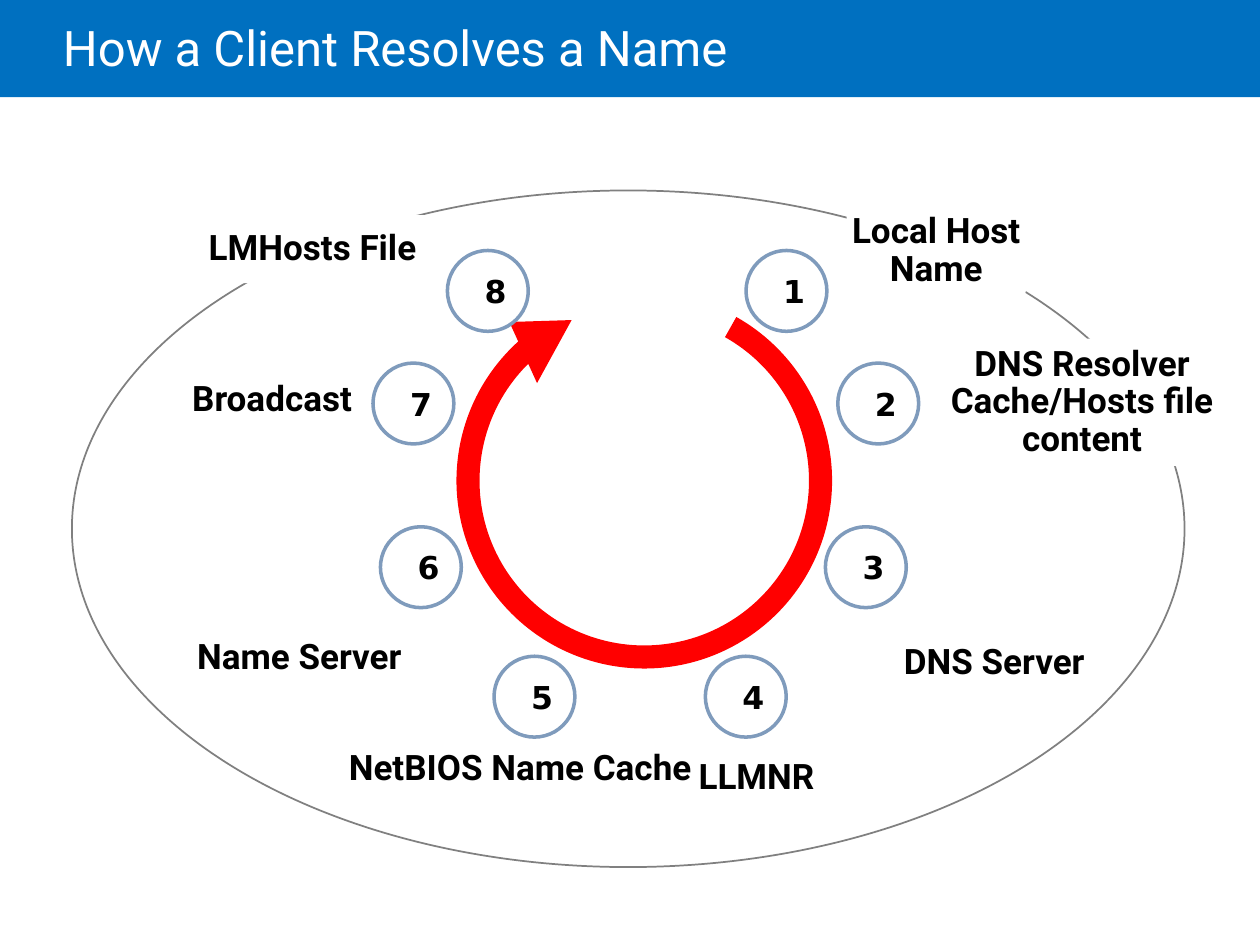
from typing import NamedTuple, Optional

from pptx import Presentation
from pptx import util as u
from pptx.dml.color import RGBColor
from pptx.enum import shapes, text

Kind = shapes.MSO_SHAPE
Align = text.PP_ALIGN
Anchor = text.MSO_ANCHOR


class Area(NamedTuple):
    left: float
    top: float
    width: float
    height: float


class Label(NamedTuple):
    words: str
    area: Area
    align: Align = Align.LEFT
    anchor: Anchor = Anchor.MIDDLE
    fill: Optional[str] = "FFFFFF"


class TextStyle(NamedTuple):
    font: str
    size: int
    color: str
    bold: bool
    spacing: float
    insets: tuple


TITLE_STYLE = TextStyle("Roboto", 28, "FFFFFF", False, 0.85, (0, 0.13, 0.25, 0.13))
LABEL_STYLE = TextStyle("Roboto", 20, "000000", True, 0.9, (0, 0, 0, 0))
NUMBER_STYLE = TextStyle("DejaVu Sans", 18, "000000", True, 1.0, (0.51, 0.13, 0.51, 0.13))

LABELS = [
    Label("NetBIOS Name Cache", Area(6.96, 15.09, 7.06, 2.34), Align.CENTER, Anchor.TOP, None),
    Label("Name Server", Area(3.96, 12.6, 4.93, 1.32), fill=None),
    Label("Broadcast", Area(3.86, 7.42, 4.14, 1.3)),
    Label("DNS Resolver Cache/Hosts file content", Area(18.97, 6.83, 5.69, 2.57), Align.CENTER),
    Label("Local Host Name", Area(17.07, 4.19, 3.61, 1.75), Align.CENTER),
    Label("LMHosts File", Area(4.19, 4.34, 4.95, 1.37)),
    Label("DNS Server", Area(18.21, 12.83, 4.11, 1.09)),
    Label("LLMNR", Area(14.07, 15.09, 2.51, 1.19), fill=None),
]
STEP_SIZE = 1.63
STEP_CORNERS = [
    (15.04, 5.05), (16.89, 7.32), (16.64, 10.62), (14.22, 13.23),
    (9.96, 13.23), (7.67, 10.62), (7.52, 7.32), (9.02, 5.05),
]


def rgb(value: str) -> RGBColor:
    return RGBColor.from_string(value)


def add_shape(page, kind: Kind, area: Area, fill: Optional[str] = None,
              line: Optional[str] = None, weight: float = 1):
    shape = page.shapes.add_shape(kind, *(u.Cm(length) for length in area))
    shape.shadow.inherit = False
    if fill:
        shape.fill.solid()
        shape.fill.fore_color.rgb = rgb(fill)
    else:
        shape.fill.background()
    if line:
        shape.line.color.rgb = rgb(line)
        shape.line.width = u.Pt(weight)
    else:
        shape.line.fill.background()
    return shape


def write(box, words: str, style: TextStyle, align: Align = Align.LEFT,
          anchor: Anchor = Anchor.MIDDLE) -> None:
    frame = box.text_frame
    frame.word_wrap = True
    frame.vertical_anchor = anchor
    (frame.margin_left, frame.margin_top,
     frame.margin_right, frame.margin_bottom) = (u.Cm(inset) for inset in style.insets)
    para = frame.paragraphs[0]
    para.text = words
    para.alignment = align
    para.line_spacing = style.spacing
    para.font.name = style.font
    para.font.size = u.Pt(style.size)
    para.font.bold = style.bold
    para.font.color.rgb = rgb(style.color)


def add_title(page, words: str) -> None:
    add_shape(page, Kind.RECTANGLE, Area(0, 0, 25.4, 1.96), "0070C0")
    box = page.shapes.add_textbox(u.Cm(1.27), 0, u.Cm(21.59), u.Cm(2.06))
    write(box, words, TITLE_STYLE)


def add_label(page, label: Label) -> None:
    box = add_shape(page, Kind.ROUNDED_RECTANGLE, label.area, label.fill)
    box.adjustments[0] = 0.04
    write(box, label.words, LABEL_STYLE, label.align, label.anchor)


def add_cycle_arrow(page) -> None:
    arrow = add_shape(page, Kind.LEFT_CIRCULAR_ARROW, Area(8.76, 5.46, 8.46, 8.46), "FF0000")
    for index, value in enumerate((0.055, 11.42, 61.06, 17.43, 0.08)):
        arrow.adjustments[index] = value
    arrow.rotation = 148.4
    arrow._element.spPr.find("{*}xfrm").set("flipH", "1")


def add_step(page, number: int, left: float, top: float) -> None:
    area = Area(left, top, STEP_SIZE, STEP_SIZE)
    circle = add_shape(page, Kind.OVAL, area, "FFFFFF", "7F9BBC", 2)
    write(circle, str(number), NUMBER_STYLE, Align.CENTER)


def main() -> None:
    """Build the name resolution slide and save it."""
    deck = Presentation()
    deck.slide_width, deck.slide_height = u.Cm(25.4), u.Cm(19.05)
    page = deck.slides.add_slide(deck.slide_layouts[6])
    add_title(page, "How a Client Resolves a Name")
    add_shape(page, Kind.OVAL, Area(1.45, 3.84, 22.43, 13.64), line="808080")
    for label in LABELS:
        add_label(page, label)
    add_cycle_arrow(page)
    for number, corner in enumerate(STEP_CORNERS, start=1):
        add_step(page, number, *corner)
    deck.save("out.pptx")


if __name__ == "__main__":
    main()
